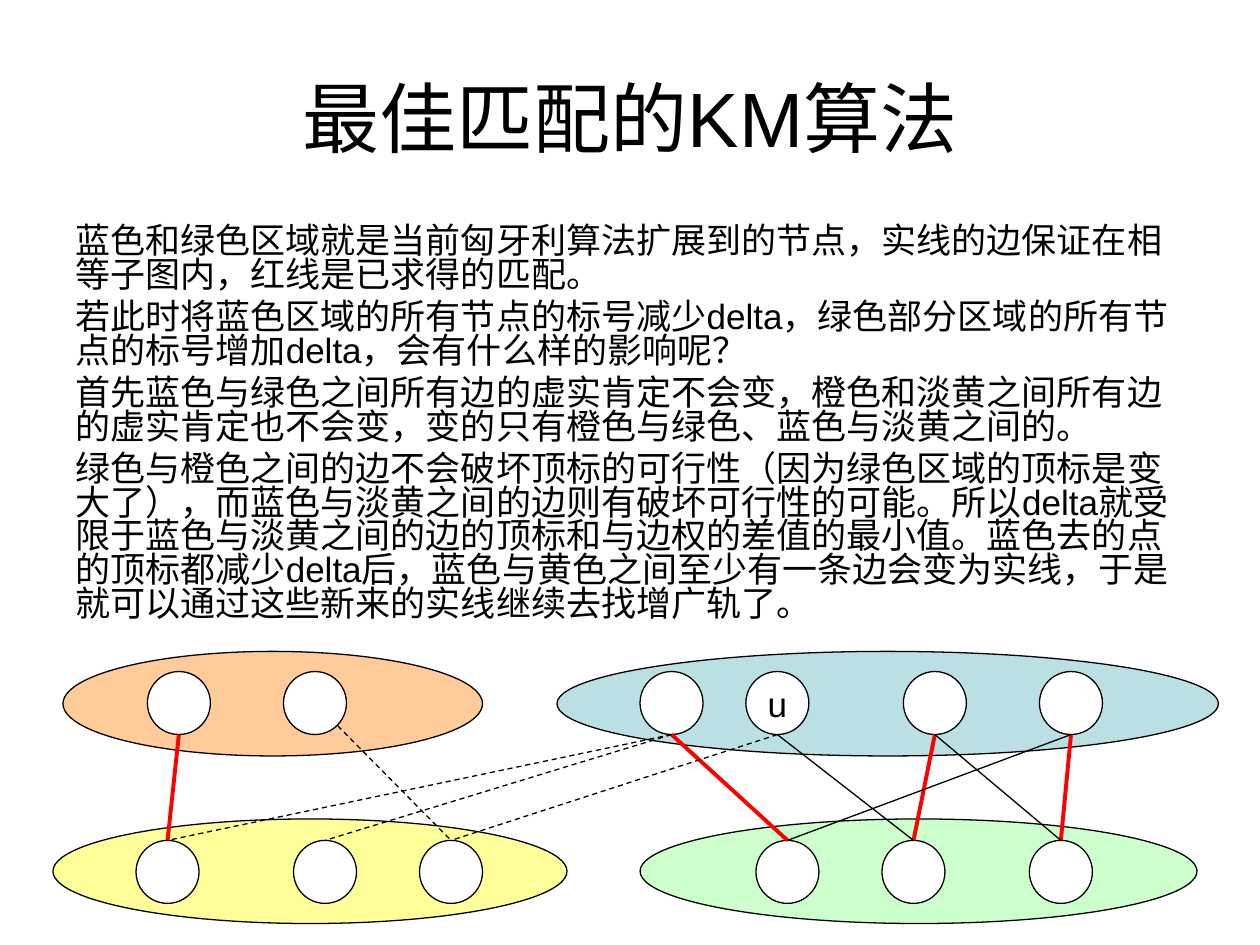
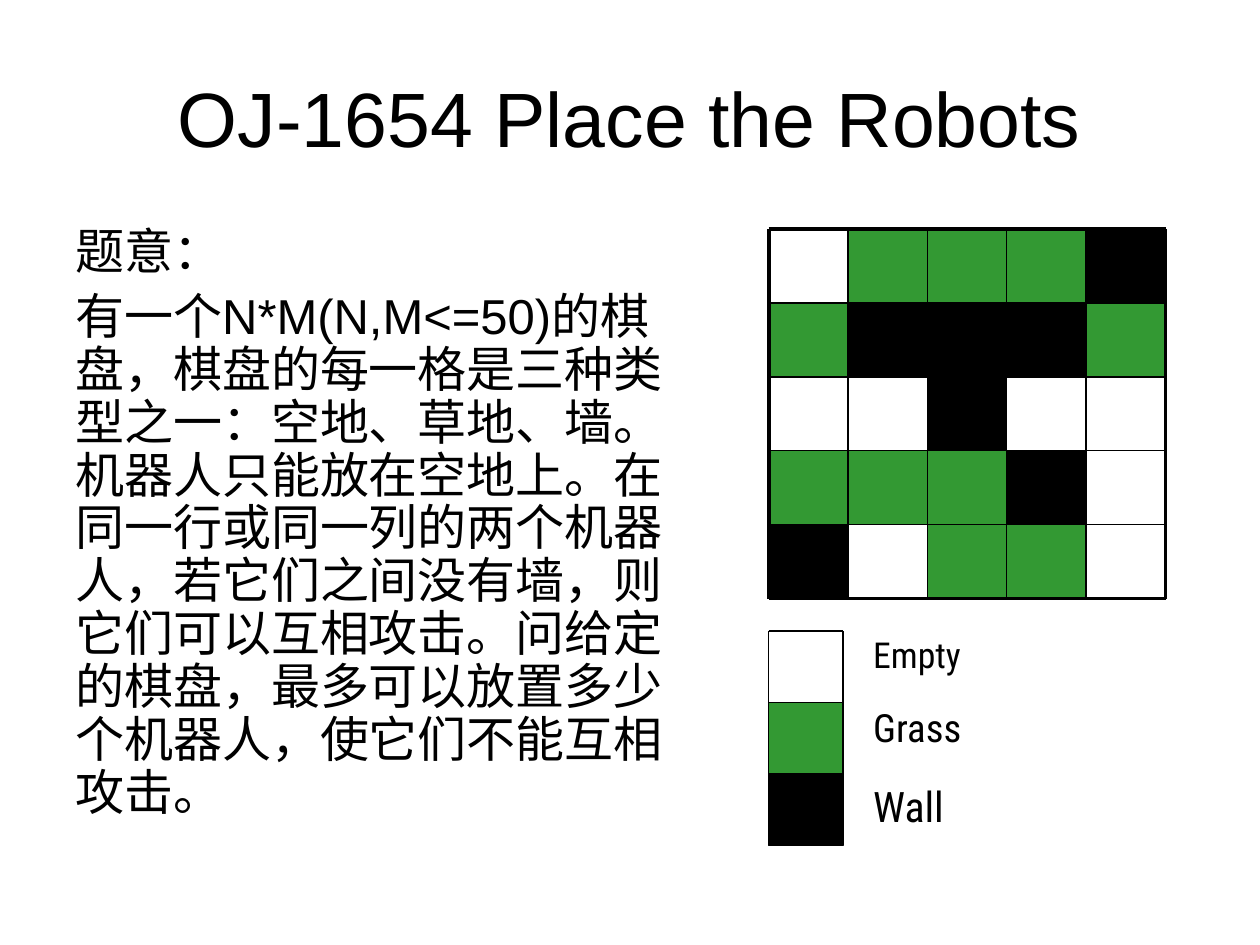
"""Build two slides on bipartite matching: the KM algorithm and a robot placement problem."""
from dataclasses import dataclass
from typing import Any, Optional

from lxml import etree
from pptx import Presentation
from pptx import util as u
from pptx.dml.color import RGBColor
from pptx.enum import dml, shapes, text
from pptx.oxml import ns


@dataclass(frozen=True)
class Theme:
    ink: str = "000000"
    white: str = "FFFFFF"
    matched: str = "FF0000"
    orange: str = "FFCC99"
    blue: str = "BBE0E3"
    yellow: str = "FFFF99"
    green: str = "CCFFCC"
    grass: str = "339933"
    font: str = "Arial"
    legend_font: str = "Roboto Condensed"
    title_size: float = 44
    body_size: float = 28
    small_size: float = 20
    thin: float = 0.75
    medium: float = 1
    thick: float = 2.25


@dataclass(frozen=True)
class Box:
    left: float
    top: float
    width: float
    height: float

    def lengths(self) -> tuple:
        return tuple(u.Inches(value) for value in (self.left, self.top, self.width, self.height))


@dataclass(frozen=True)
class TextStyle:
    size: float
    font: str
    align: Any = text.PP_ALIGN.LEFT
    anchor: Any = text.MSO_ANCHOR.TOP
    line_spacing: float = 1
    space_before: float = 0
    inset: float = 0.1
    wrap: bool = True


@dataclass(frozen=True)
class Region:
    box: Box
    fill: str


@dataclass(frozen=True)
class EdgeStyle:
    color: str
    weight: float
    dash: Optional[Any] = None


@dataclass(frozen=True)
class Edge:
    upper: int
    lower: int
    style: EdgeStyle
    from_corner: bool = False


@dataclass(frozen=True)
class LegendEntry:
    label: str
    fill: Optional[str]
    size: float
    line_spacing: float


THEME = Theme()
TITLE_BOX = Box(0.5, 0.3, 9, 1.25)
TITLE_STYLE = TextStyle(THEME.title_size, THEME.font, text.PP_ALIGN.CENTER, text.MSO_ANCHOR.MIDDLE)
NODE_STYLE = TextStyle(THEME.small_size, THEME.font, text.PP_ALIGN.CENTER,
                       text.MSO_ANCHOR.MIDDLE, wrap=False)

MATCHED = EdgeStyle(THEME.matched, THEME.thick)
SOLID = EdgeStyle(THEME.ink, THEME.thin)
DASHED = EdgeStyle(THEME.ink, THEME.thin, dml.MSO_LINE.DASH)

KM_PARAGRAPHS = (
    "蓝色和绿色区域就是当前匈牙利算法扩展到的节点，实线的边保证在相等子图内，红线是已求得的匹配。",
    "若此时将蓝色区域的所有节点的标号减少delta，绿色部分区域的所有节点的标号增加delta，会有什么样的影响呢？",
    "首先蓝色与绿色之间所有边的虚实肯定不会变，橙色和淡黄之间所有边的虚实肯定也不会变，"
    "变的只有橙色与绿色、蓝色与淡黄之间的。",
    "绿色与橙色之间的边不会破坏顶标的可行性（因为绿色区域的顶标是变大了），"
    "而蓝色与淡黄之间的边则有破坏可行性的可能。所以delta就受限于蓝色与淡黄之间的边的顶标和与边权的差值的最小值。"
    "蓝色去的点的顶标都减少delta后，蓝色与黄色之间至少有一条边会变为实线，"
    "于是就可以通过这些新来的实线继续去找增广轨了。",
)
REGIONS = (
    Region(Box(0.42, 6.5, 4.08, 0.83), THEME.yellow),
    Region(Box(5.08, 6.5, 4.42, 0.83), THEME.green),
    Region(Box(4.42, 5.17, 5.25, 0.83), THEME.blue),
    Region(Box(0.5, 5.17, 3.33, 0.83), THEME.orange),
)
NODE_SIZE = 0.5
UPPER_TOP, LOWER_TOP = 5.33, 6.67
UPPER_LEFTS = (1.17, 2.25, 5.08, 5.92, 7.17, 8.25)
LOWER_LEFTS = (1.08, 2.33, 3.33, 6, 7, 8.17)
START_NODE = 3
EDGES = (
    Edge(0, 0, MATCHED), Edge(2, 0, DASHED), Edge(2, 3, MATCHED),
    Edge(1, 2, DASHED, from_corner=True), Edge(5, 5, MATCHED), Edge(4, 4, MATCHED),
    Edge(3, 4, SOLID), Edge(4, 5, SOLID), Edge(5, 3, SOLID),
    Edge(3, 2, DASHED), Edge(2, 1, DASHED),
)

ROBOT_PARAGRAPHS = (
    "题意：",
    "有一个N*M(N,M<=50)的棋盘，棋盘的每一格是三种类型之一：空地、草地、墙。机器人只能放在空地上。"
    "在同一行或同一列的两个机器人，若它们之间没有墙，则它们可以互相攻击。"
    "问给定的棋盘，最多可以放置多少个机器人，使它们不能互相攻击。",
)
BOARD = ("EGGGW", "GWWWG", "EEWEE", "GGGWE", "WEGGE")
BOARD_BOX = Box(6.1, 1.82, 3.15, 2.93)
CELL_FILLS = {"E": None, "G": THEME.grass, "W": THEME.ink}
LEGEND = (
    LegendEntry("Empty", CELL_FILLS["E"], 20.4, 0.9),
    LegendEntry("Grass", CELL_FILLS["G"], 22.2, 0.9),
    LegendEntry("Wall", CELL_FILLS["W"], 24, 1),
)
LEGEND_BOX = Box(6.1, 5.01, 0.59, 1.7)
LABEL_WIDTH = 1.18


def apply_format(target: Any, values: dict) -> None:
    """Set each named attribute of the target."""
    for name, value in values.items():
        setattr(target, name, value)


def write_text(shape: Any, paragraphs: tuple, style: TextStyle) -> None:
    """Fill a shape with paragraphs in one style."""
    frame = shape.text_frame
    apply_format(frame, {
        "word_wrap": style.wrap, "vertical_anchor": style.anchor,
        "margin_left": u.Inches(style.inset), "margin_right": u.Inches(0.1),
        "margin_top": u.Inches(0.05), "margin_bottom": u.Inches(0.05),
    })
    for index, content in enumerate(paragraphs):
        paragraph = frame.add_paragraph() if index else frame.paragraphs[0]
        apply_format(paragraph, {
            "alignment": style.align, "line_spacing": style.line_spacing,
            "space_before": u.Pt(style.space_before),
        })
        run = paragraph.add_run()
        run.text = content
        apply_format(run.font, {"name": style.font, "size": u.Pt(style.size)})
        run.font.color.rgb = RGBColor.from_string(THEME.ink)


def add_text(slide: Any, box: Box, paragraphs: tuple, style: TextStyle) -> None:
    """Add a text box."""
    write_text(slide.shapes.add_textbox(*box.lengths()), paragraphs, style)


def add_outlined(slide: Any, kind: Any, box: Box, fill: Optional[str]) -> Any:
    """Add a thinly outlined preset shape, unfilled when no colour is given."""
    shape = slide.shapes.add_shape(kind, *box.lengths())
    shape.shadow.inherit = False
    if fill is None:
        shape.fill.background()
    else:
        shape.fill.solid()
        shape.fill.fore_color.rgb = RGBColor.from_string(fill)
    shape.line.color.rgb = RGBColor.from_string(THEME.ink)
    shape.line.width = u.Pt(THEME.thin)
    return shape


def add_line(slide: Any, start: tuple, end: tuple, style: EdgeStyle) -> Any:
    """Add a straight connector without a shadow."""
    points = [u.Inches(value) for value in (*start, *end)]
    connector = slide.shapes.add_connector(shapes.MSO_CONNECTOR.STRAIGHT, *points)
    connector.line.color.rgb = RGBColor.from_string(style.color)
    apply_format(connector.line, {"width": u.Pt(style.weight), "dash_style": style.dash})
    etree.SubElement(connector._element.spPr, ns.qn("a:effectLst"))
    return connector


def add_frame(slide: Any, box: Box, weight: float) -> None:
    """Draw the four sides of a box as lines."""
    right, bottom = box.left + box.width, box.top + box.height
    style = EdgeStyle(THEME.ink, weight)
    for y in (box.top, bottom):
        add_line(slide, (box.left, y), (right, y), style)
    for x in (box.left, right):
        add_line(slide, (x, box.top), (x, bottom), style)


def add_titled_slide(presentation: Any, title: str, body_box: Box,
                     paragraphs: tuple, body_style: TextStyle) -> Any:
    """Add a blank slide with a title and body text."""
    slide = presentation.slides.add_slide(presentation.slide_layouts[6])
    add_text(slide, TITLE_BOX, (title,), TITLE_STYLE)
    add_text(slide, body_box, paragraphs, body_style)
    return slide


def add_nodes(slide: Any, lefts: tuple, top: float) -> list:
    """Add a row of white graph nodes."""
    return [add_outlined(slide, shapes.MSO_SHAPE.OVAL, Box(left, top, NODE_SIZE, NODE_SIZE),
                         THEME.white) for left in lefts]


def build_km_slide(presentation: Any) -> None:
    """Build the KM algorithm slide with its bipartite graph."""
    style = TextStyle(THEME.small_size, THEME.font, line_spacing=0.8, space_before=5)
    slide = add_titled_slide(presentation, "最佳匹配的KM算法", Box(0.5, 1.75, 9, 3.33),
                             KM_PARAGRAPHS, style)
    for region in REGIONS:
        add_outlined(slide, shapes.MSO_SHAPE.OVAL, region.box, region.fill)
    upper_nodes = add_nodes(slide, UPPER_LEFTS, UPPER_TOP)
    lower_nodes = add_nodes(slide, LOWER_LEFTS, LOWER_TOP)
    write_text(upper_nodes[START_NODE], ("u",), NODE_STYLE)
    radius = NODE_SIZE / 2
    for edge in EDGES:
        across, down = (0.18, 0.18) if edge.from_corner else (0, radius)
        start = (UPPER_LEFTS[edge.upper] + radius + across, UPPER_TOP + radius + down)
        end = (LOWER_LEFTS[edge.lower] + radius, LOWER_TOP)
        add_line(slide, start, end, edge.style).end_connect(lower_nodes[edge.lower], 0)


def build_robot_slide(presentation: Any) -> None:
    """Build the robot placement slide with its board and legend."""
    style = TextStyle(THEME.body_size, THEME.font, line_spacing=0.9, space_before=7)
    slide = add_titled_slide(presentation, "OJ-1654 Place the Robots",
                             Box(0.5, 1.75, 5.08, 4.95), ROBOT_PARAGRAPHS, style)
    cell_width = BOARD_BOX.width / len(BOARD[0])
    cell_height = BOARD_BOX.height / len(BOARD)
    for row, cells in enumerate(BOARD):
        for column, cell in enumerate(cells):
            box = Box(BOARD_BOX.left + column * cell_width, BOARD_BOX.top + row * cell_height,
                      cell_width, cell_height)
            add_outlined(slide, shapes.MSO_SHAPE.RECTANGLE, box, CELL_FILLS[cell])
    add_frame(slide, BOARD_BOX, THEME.thick)

    height = LEGEND_BOX.height / len(LEGEND)
    for index, entry in enumerate(LEGEND):
        swatch = Box(LEGEND_BOX.left, LEGEND_BOX.top + index * height, LEGEND_BOX.width, height)
        label = Box(swatch.left + swatch.width, swatch.top, LABEL_WIDTH, height)
        add_text(slide, label, (entry.label,),
                 TextStyle(entry.size, THEME.legend_font, line_spacing=entry.line_spacing,
                           space_before=6, inset=0.24))
        add_outlined(slide, shapes.MSO_SHAPE.RECTANGLE, swatch, entry.fill)
    add_frame(slide, Box(LEGEND_BOX.left, LEGEND_BOX.top, LEGEND_BOX.width, height), THEME.medium)


def main() -> None:
    """Build and save the presentation."""
    presentation = Presentation()
    apply_format(presentation, {"slide_width": u.Inches(10), "slide_height": u.Inches(7.5)})
    build_km_slide(presentation)
    build_robot_slide(presentation)
    presentation.save("out.pptx")


if __name__ == "__main__":
    main()
